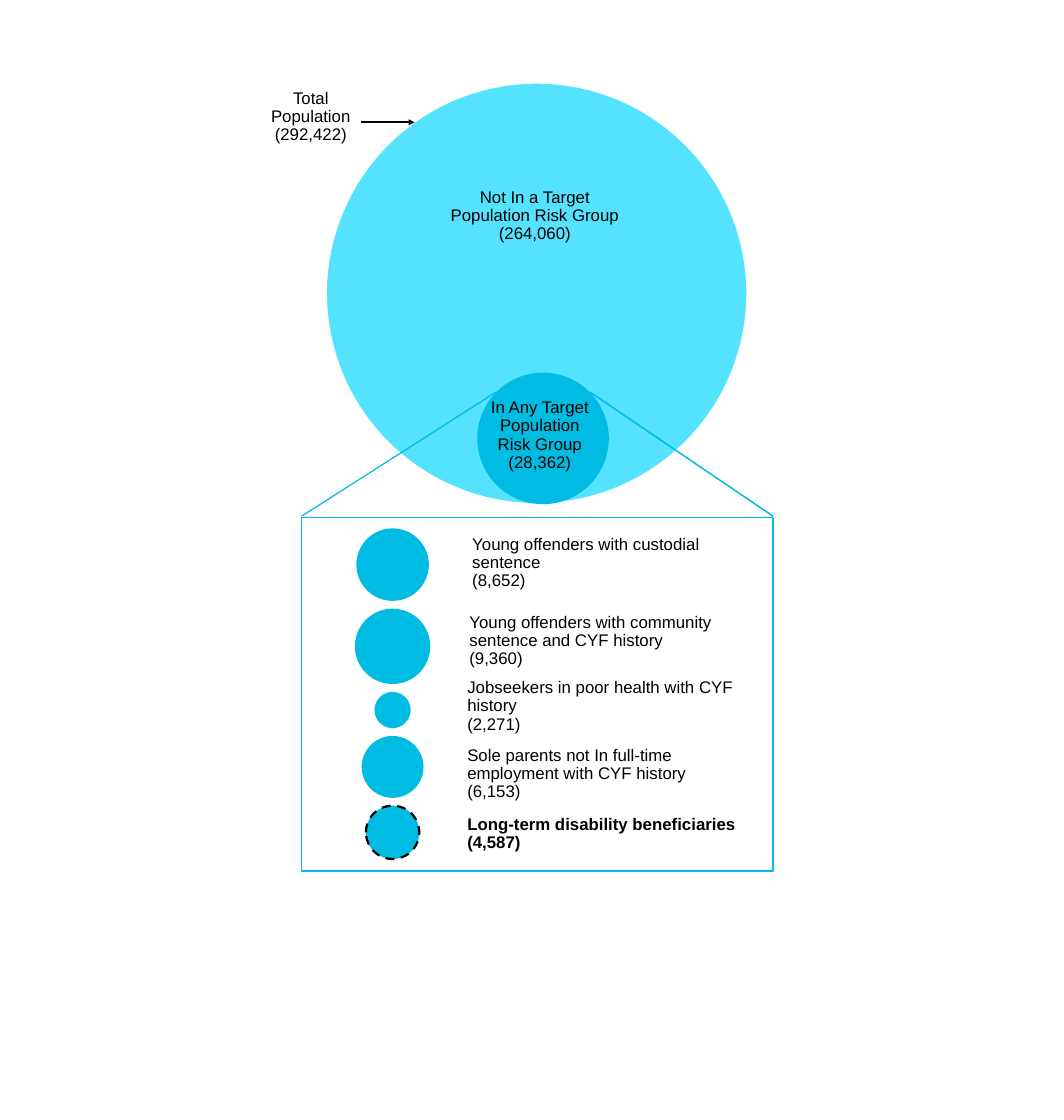
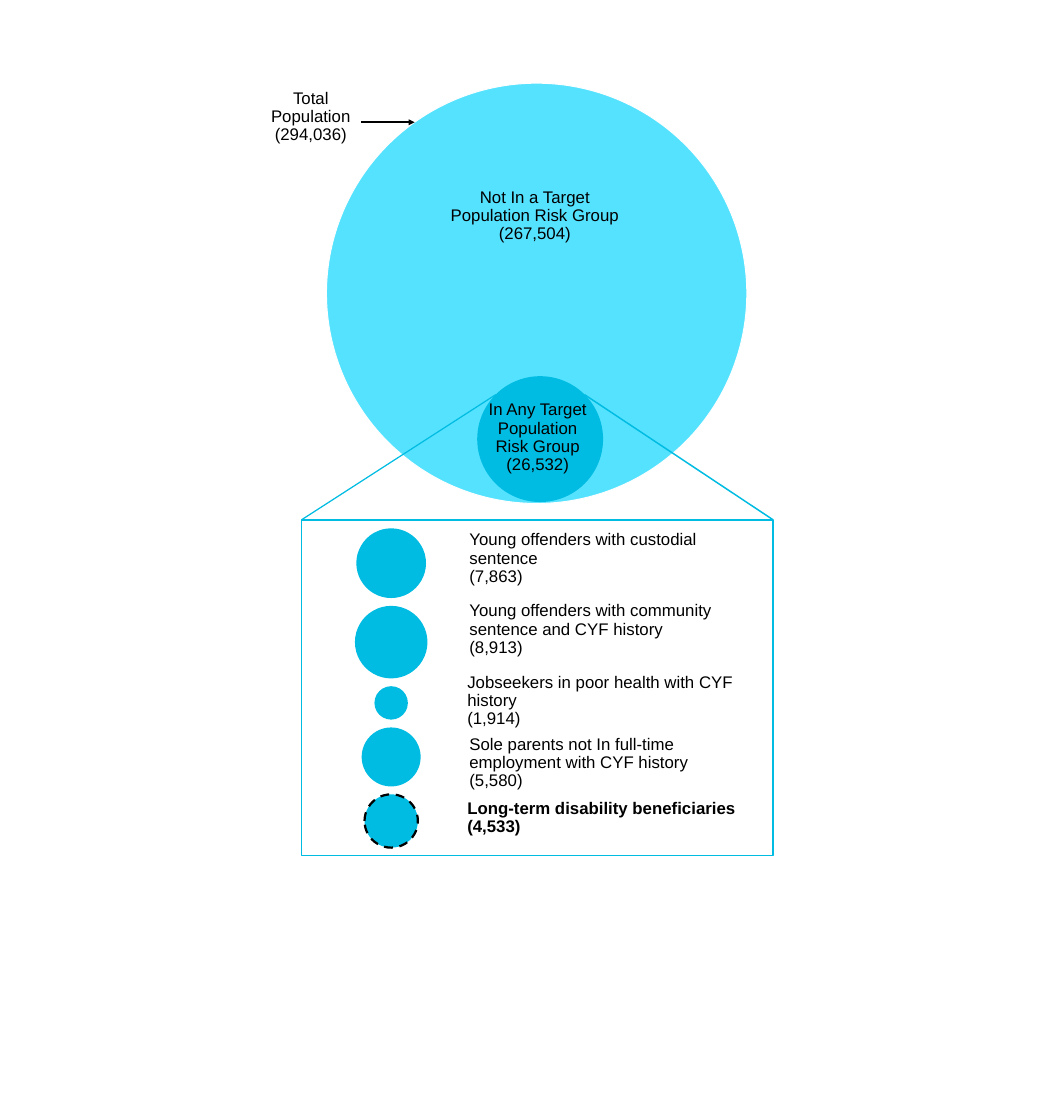
from dataclasses import dataclass

import lxml.etree
import pptx
import pptx.dml.color
import pptx.enum.dml
import pptx.enum.shapes
import pptx.enum.text
import pptx.oxml.ns
import pptx.util

Inches = pptx.util.Inches
COLOURS = {"population": "55E2FF", "risk": "00BCE2", "text": "000000", "edge": "FFFFFF"}
FONT, FONT_SIZE = "Arial", 17
BOX_LEFT, BOX_WIDTH = 4.24, 6.63
FIRST_CIRCLE_TOP, CIRCLE_GAP = 7.43, 0.11


@dataclass(frozen=True)
class RiskGroup:
    name: str
    label_width: float
    label_height: float
    highlighted: bool = False


@dataclass(frozen=True)
class GroupValue:
    count: str
    diameter: float
    label_left: float
    label_top: float


@dataclass(frozen=True)
class PopulationSlide:
    total: str
    outside: str
    inside: str
    inside_top: float
    inside_diameter: float
    inside_label: tuple[float, float]
    box_top: float
    box_height: float
    callout_top: float
    callout_bottom: float
    callout_inner: tuple[float, float]
    column_centre: float
    values: tuple[GroupValue, ...]


GROUPS = (
    RiskGroup("Young offenders with custodial sentence", 3.9, 0.85),
    RiskGroup("Young offenders with community sentence and CYF history", 3.9, 1.11),
    RiskGroup("Jobseekers in poor health with CYF history", 4.09, 0.95),
    RiskGroup("Sole parents not In full-time employment with CYF history", 3.83, 1.18),
    RiskGroup("Long-term disability beneficiaries", 4.06, 0.85, highlighted=True),
)

SLIDES = (
    PopulationSlide(
        total="(292,422)", outside="(264,060)", inside="(28,362)",
        inside_top=5.24, inside_diameter=1.85, inside_label=(6.75, 5.53),
        box_top=7.28, box_height=4.97,
        callout_top=5.51, callout_bottom=7.26, callout_inner=(6.98, 8.29),
        column_centre=5.52,
        values=(
            GroupValue("(8,652)", 1.02, 6.51, 7.49),
            GroupValue("(9,360)", 1.06, 6.47, 8.46),
            GroupValue("(2,271)", 0.51, 6.44, 9.46),
            GroupValue("(6,153)", 0.87, 6.44, 10.29),
            GroupValue("(4,587)", 0.75, 6.44, 11.3),
        ),
    ),
    PopulationSlide(
        total="(294,036)", outside="(267,504)", inside="(26,532)",
        inside_top=5.29, inside_diameter=1.77, inside_label=(6.72, 5.56),
        box_top=7.31, box_height=4.72,
        callout_top=5.55, callout_bottom=7.31, callout_inner=(6.97, 8.22),
        column_centre=5.5,
        values=(
            GroupValue("(7,863)", 0.98, 6.47, 7.43),
            GroupValue("(8,913)", 1.02, 6.47, 8.3),
            GroupValue("(1,914)", 0.47, 6.44, 9.38),
            GroupValue("(5,580)", 0.83, 6.47, 10.14),
            GroupValue("(4,533)", 0.75, 6.44, 11.08),
        ),
    ),
)


def colour(name: str) -> pptx.dml.color.RGBColor:
    return pptx.dml.color.RGBColor.from_string(COLOURS[name])


def add_text(slide, lines: tuple[str, ...], left: float, top: float, width: float,
             height: float, *, inset: float = 0.13, bold: bool = False,
             centred: bool = False) -> None:
    frame = slide.shapes.add_textbox(
        Inches(left), Inches(top), Inches(width), Inches(height)).text_frame
    frame.word_wrap = True
    frame.vertical_anchor = pptx.enum.text.MSO_ANCHOR.MIDDLE
    frame.margin_left = frame.margin_right = Inches(inset)
    frame.margin_top = frame.margin_bottom = Inches(inset)
    frame.text = "\n".join(lines)
    for paragraph in frame.paragraphs:
        alignment = pptx.enum.text.PP_ALIGN
        paragraph.alignment = alignment.CENTER if centred else alignment.LEFT
        paragraph.line_spacing = 0.9
        font = paragraph.runs[0].font
        font.name, font.size, font.bold = FONT, pptx.util.Pt(FONT_SIZE), bold
        font.color.rgb = colour("text")


def add_figure(slide, kind: pptx.enum.shapes.MSO_SHAPE, left: float, top: float,
               width: float, height: float, *, fill: str = "", line: str = "",
               line_width: float = 1, dashed: bool = False) -> None:
    shape = slide.shapes.add_shape(
        kind, Inches(left), Inches(top), Inches(width), Inches(height))
    shape.shadow.inherit = False
    if fill:
        shape.fill.solid()
        shape.fill.fore_color.rgb = colour(fill)
    else:
        shape.fill.background()
    if line:
        shape.line.color.rgb = colour(line)
        shape.line.width = pptx.util.Pt(line_width)
        if dashed:
            shape.line.dash_style = pptx.enum.dml.MSO_LINE.DASH
    else:
        shape.line.fill.background()


def add_circle(slide, left: float, top: float, diameter: float, **style) -> None:
    add_figure(slide, pptx.enum.shapes.MSO_SHAPE.OVAL, left, top, diameter, diameter, **style)


def add_line(slide, start: tuple[float, float], end: tuple[float, float], *,
             line: str, width: float, arrow: bool = False) -> None:
    connector = slide.shapes.add_connector(
        pptx.enum.shapes.MSO_CONNECTOR.STRAIGHT,
        Inches(start[0]), Inches(start[1]), Inches(end[0]), Inches(end[1]))
    connector.line.color.rgb = colour(line)
    connector.line.width = pptx.util.Pt(width)
    qualified = pptx.oxml.ns.qn
    properties = connector._element.spPr
    if arrow:
        outline = properties.find(qualified("a:ln"))
        lxml.etree.SubElement(outline, qualified("a:tailEnd"), type="triangle")
    lxml.etree.SubElement(properties, qualified("a:effectLst"))


def draw_population(slide, content: PopulationSlide) -> None:
    # Whole population and the part at risk
    add_circle(slide, 4.59, 1.17, 5.91, fill="population", line="edge")
    add_text(slide, ("Total Population", content.total), 3.54, 1.2, 1.66, 0.89,
             inset=0.15, centred=True)
    add_line(slide, (5.08, 1.72), (5.83, 1.72), line="text", width=2, arrow=True)
    add_circle(slide, 6.71, content.inside_top, content.inside_diameter, fill="risk")
    add_text(slide, ("Not In a Target Population Risk Group", content.outside),
             6.17, 2.59, 2.7, 0.89, inset=0.15, centred=True)

    # Callout lines to the detail box
    inner_left, inner_right = content.callout_inner
    add_line(slide, (BOX_LEFT, content.callout_bottom), (inner_left, content.callout_top),
             line="risk", width=1.25)
    add_line(slide, (inner_right, content.callout_top),
             (BOX_LEFT + BOX_WIDTH, content.callout_bottom), line="risk", width=1.5)
    add_figure(slide, pptx.enum.shapes.MSO_SHAPE.RECTANGLE, BOX_LEFT, content.box_top,
               BOX_WIDTH, content.box_height, line="risk", line_width=1.5)
    add_text(slide, ("In Any Target Population Risk Group", content.inside),
             *content.inside_label, 1.68, 1.19, centred=True)


def draw_risk_groups(slide, content: PopulationSlide) -> None:
    # Circles stacked on one centre line, each with its label
    top = FIRST_CIRCLE_TOP
    for group, value in zip(GROUPS, content.values):
        add_circle(slide, content.column_centre - value.diameter / 2, top, value.diameter,
                   fill="risk", line="text" if group.highlighted else "",
                   line_width=2.25, dashed=group.highlighted)
        add_text(slide, (group.name, value.count), value.label_left, value.label_top,
                 group.label_width, group.label_height, bold=group.highlighted)
        top += value.diameter + CIRCLE_GAP


def main() -> None:
    presentation = pptx.Presentation()
    presentation.slide_width, presentation.slide_height = Inches(14.96), Inches(15.75)
    blank_layout = presentation.slide_layouts[6]
    for content in SLIDES:
        slide = presentation.slides.add_slide(blank_layout)
        draw_population(slide, content)
        draw_risk_groups(slide, content)
    presentation.save("out.pptx")


main()
